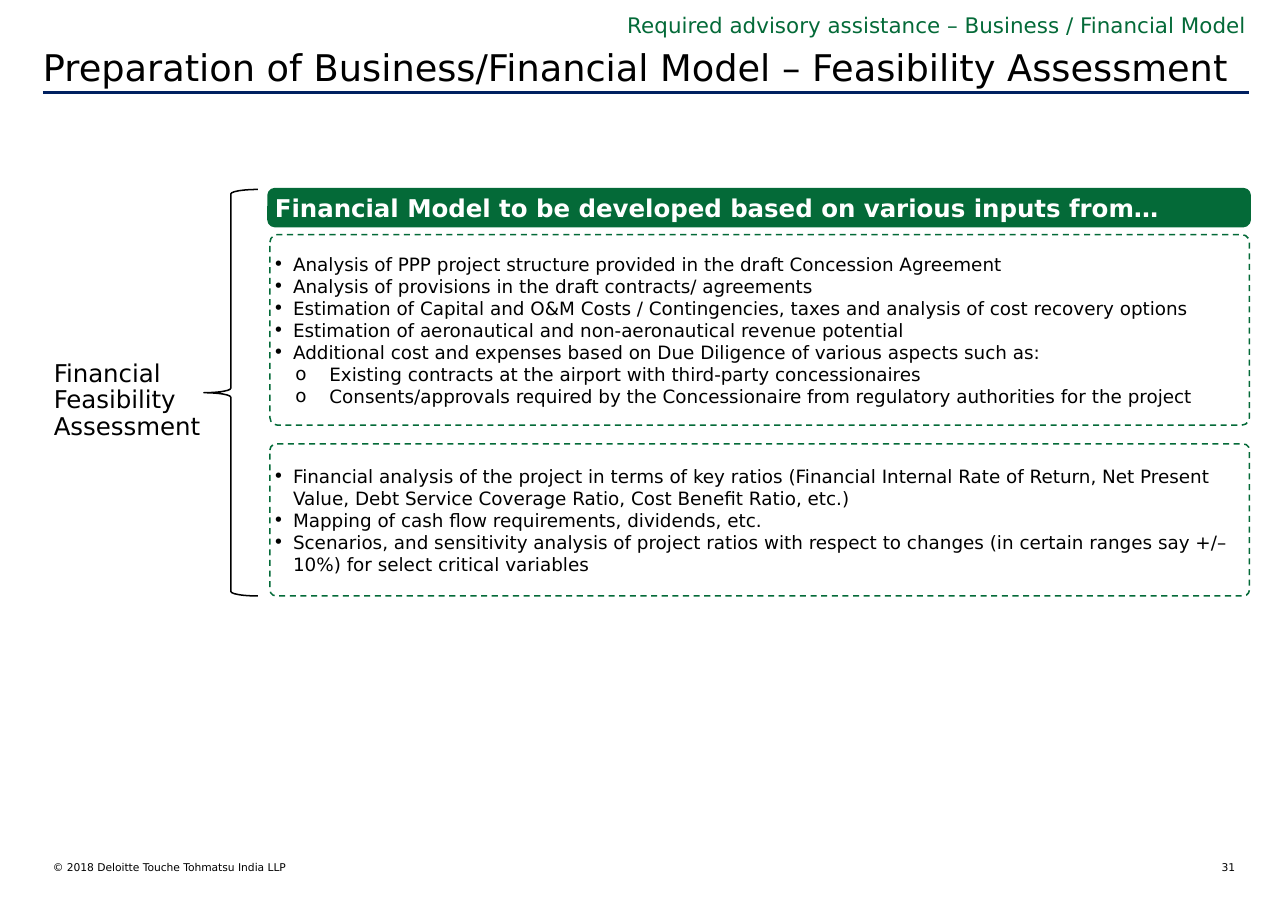
import pptx
import pptx.util
import pptx.dml.color
import pptx.enum.dml
import pptx.enum.shapes
import pptx.enum.text
import pptx.oxml.ns
import lxml.etree

PX = 9144  # 100 px to the inch
FONT = "DejaVu Sans"
COLOURS = {"black": "000000", "white": "FFFFFF", "green": "046A38", "navy": "002060"}
ALIGN = pptx.enum.text.PP_ALIGN
ANCHOR = pptx.enum.text.MSO_ANCHOR
SHAPE = pptx.enum.shapes.MSO_SHAPE

INPUTS = [
    (0, "Analysis of PPP project structure provided in the draft Concession Agreement"),
    (0, "Analysis of provisions in the draft contracts/ agreements"),
    (0, "Estimation of Capital and O&M Costs / Contingencies, taxes and analysis of cost recovery options"),
    (0, "Estimation of aeronautical and non-aeronautical revenue potential"),
    (0, "Additional cost and expenses based on Due Diligence of various aspects such as:"),
    (1, "Existing contracts at the airport with third-party concessionaires"),
    (1, "Consents/approvals required by the Concessionaire from regulatory authorities for the project"),
]
OUTPUTS = [
    (0, "Financial analysis of the project in terms of key ratios (Financial Internal Rate of Return, "
        "Net Present Value, Debt Service Coverage Ratio, Cost Benefit Ratio, etc.)"),
    (0, "Mapping of cash flow requirements, dividends, etc."),
    (0, "Scenarios, and sensitivity analysis of project ratios with respect to changes "
        "(in certain ranges say +/– 10%) for select critical variables"),
]
# Bullet character, left margin and hanging indent in px, by level
BULLETS = [("•", 18, 18), ("o", 51, 31)]


def px(*lengths):
    return [pptx.util.Emu(length * PX) for length in lengths]


def colour(name):
    return pptx.dml.color.RGBColor.from_string(COLOURS[name])


def place(shape, box):
    shape.left, shape.top, shape.width, shape.height = px(*box)


def set_frame(shape, insets, anchor=ANCHOR.TOP):
    frame = shape.text_frame
    frame.word_wrap = True
    frame.auto_size = pptx.enum.text.MSO_AUTO_SIZE.NONE
    frame.vertical_anchor = anchor
    frame.margin_left, frame.margin_top, frame.margin_right, frame.margin_bottom = px(*insets)
    return frame


def set_para(para, text, size, ink="black", align=ALIGN.LEFT, bold=False):
    para.text = text
    para.alignment = align
    para.space_before = pptx.util.Pt(0)
    para.font.name = FONT
    para.font.size = pptx.util.Pt(size)
    para.font.bold = bold
    para.font.color.rgb = colour(ink)


def add_label(page, box, text, size, insets=(10, 5, 10, 5), **style):
    label = page.shapes.add_textbox(*px(*box))
    para = set_frame(label, insets).paragraphs[0]
    set_para(para, text, size, **style)
    return para


def add_outline(page, kind, box, ink, weight):
    shape = page.shapes.add_shape(kind, *px(*box))
    shape.shadow.inherit = False
    shape.fill.background()
    shape.line.color.rgb = colour(ink)
    shape.line.width = pptx.util.Pt(weight)
    return shape


def add_bullet(para, level):
    character, margin, hang = BULLETS[level]
    para.level = level
    properties = para._p.get_or_add_pPr()
    properties.set("marL", str(margin * PX))
    properties.set("indent", str(-hang * PX))
    for tag, key, value in (("a:buFont", "typeface", FONT), ("a:buChar", "char", character)):
        element = lxml.etree.SubElement(properties, pptx.oxml.ns.qn(tag))
        element.set(key, value)


def heading(page, box):
    left, top, width, height = box
    add_label(page, (left + 340, top, width - 333, 34),
              "Required advisory assistance – Business / Financial Model", 14,
              ink="green", align=ALIGN.RIGHT)
    title = page.shapes.title
    place(title, (left - 10, top + 30, width + 18, 50))
    set_para(set_frame(title, (10, 5, 10, 5)).paragraphs[0],
             "Preparation of Business/Financial Model – Feasibility Assessment", 24)
    rule = page.shapes.add_connector(pptx.enum.shapes.MSO_CONNECTOR.STRAIGHT,
                                     *px(left, top + height, left + width, top + height))
    rule.line.color.rgb = colour("navy")
    rule.line.width = pptx.util.Pt(2.25)
    lxml.etree.SubElement(rule._element.spPr, pptx.oxml.ns.qn("a:effectLst"))


def list_panel(page, body, box, items):
    # Dashed frame
    outline = add_outline(page, SHAPE.ROUNDED_RECTANGLE, box, "green", 1)
    outline.adjustments[0] = 0.04
    outline.line.dash_style = pptx.enum.dml.MSO_LINE.DASH
    # Bulleted list inside it
    place(body, box)
    frame = set_frame(body, (3, 0, 0, 0), ANCHOR.MIDDLE)
    for index, (level, text) in enumerate(items):
        para = frame.paragraphs[0] if index == 0 else frame.add_paragraph()
        add_bullet(para, level)
        set_para(para, text, 12)


def assessment(page, box):
    left, top, width, height = box
    # Label and brace
    label = add_label(page, (left, top + 151, 177, 83), "Financial Feasibility Assessment", 16)
    label.line_spacing = 0.9
    add_outline(page, SHAPE.LEFT_BRACE, (left + 146, top, 49, height), "black", 1)
    # Green header bar
    panel_left, panel_width = left + 206, width - 206
    bar = add_outline(page, SHAPE.ROUNDED_RECTANGLE,
                      (panel_left - 1, top, panel_width + 1, 33), "green", 2)
    bar.fill.solid()
    bar.fill.fore_color.rgb = colour("green")
    set_para(set_frame(bar, (4, 0, 0, 0), ANCHOR.MIDDLE).paragraphs[0],
             "Financial Model to be developed based on various inputs from…", 16,
             ink="white", bold=True)
    # Two lists
    bodies = [holder for holder in page.placeholders if holder.placeholder_format.idx > 0]
    list_panel(page, bodies[0], (panel_left, top + 41, panel_width, 173), INPUTS)
    list_panel(page, bodies[1], (panel_left, top + 231, panel_width, height - 231), OUTPUTS)


def footer(page, box):
    left, top, width, height = box
    flush = (0, 0, 0, 0)
    add_label(page, (left, top, 513, height), "© 2018 Deloitte Touche Tohmatsu India LLP", 7, flush)
    add_label(page, (left + width - 30, top, 30, height), "31", 7, flush, align=ALIGN.RIGHT)


def main():
    deck = pptx.Presentation()
    deck.slide_width, deck.slide_height = px(1169, 827)
    page = deck.slides.add_slide(deck.slide_layouts.get_by_name("Two Content"))
    heading(page, (39, 6, 1095, 78))
    assessment(page, (39, 172, 1095, 369))
    footer(page, (48, 781, 1073, 12))
    deck.save("out.pptx")


if __name__ == "__main__":
    main()
